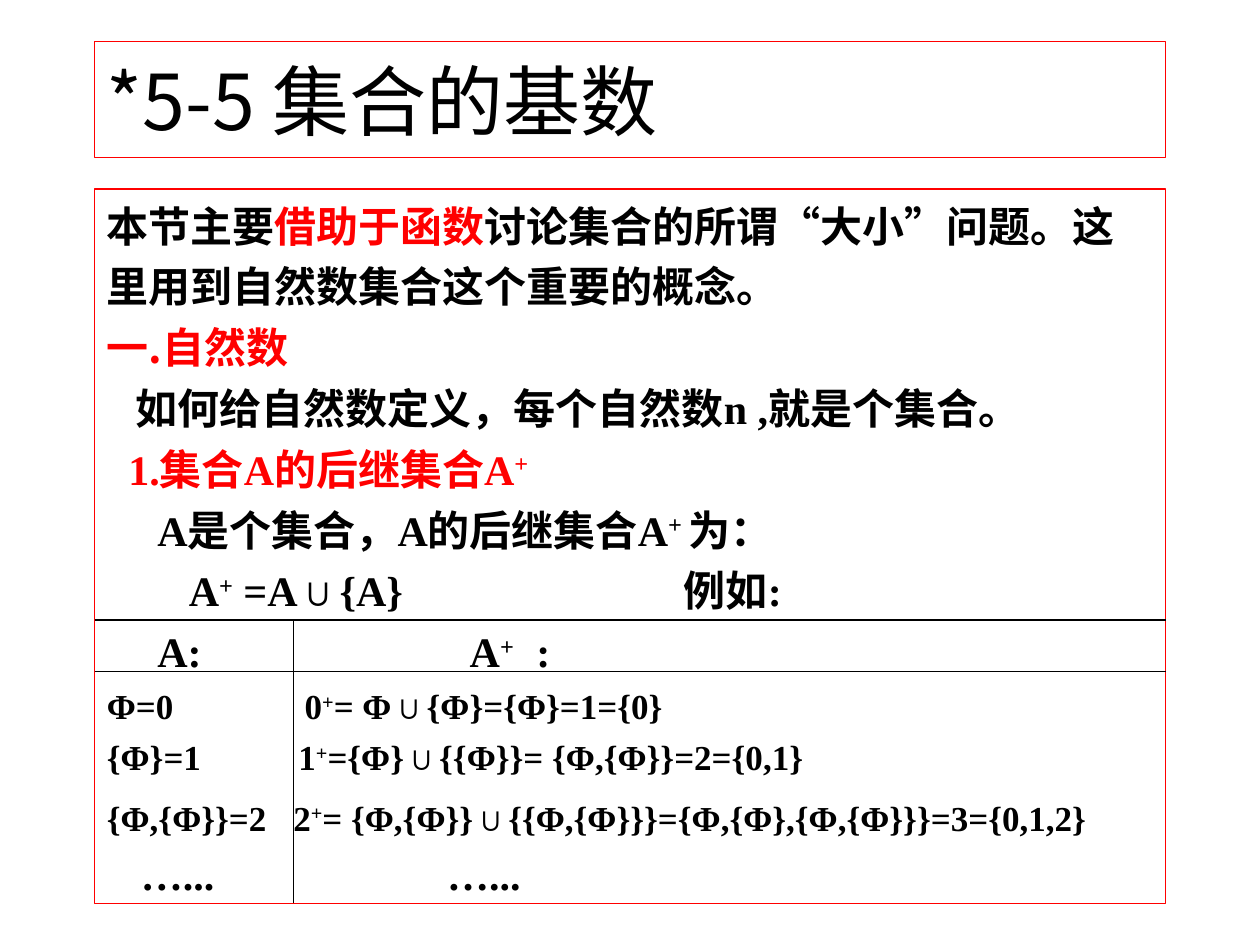
from dataclasses import dataclass

from lxml.etree import SubElement
from pptx import Presentation
from pptx.dml.color import RGBColor
from pptx.enum.shapes import MSO_CONNECTOR as Conn, MSO_SHAPE as Shape
from pptx.enum.text import MSO_ANCHOR as Anchor, PP_ALIGN as Align
from pptx.oxml.ns import qn
from pptx.util import Inches, Pt


@dataclass(frozen=True)
class Theme:
    black: RGBColor = RGBColor(0, 0, 0)
    red: RGBColor = RGBColor(255, 0, 0)
    sans: str = "Noto Sans CJK SC"
    serif: str = "Times New Roman"
    title: int = 44
    body: int = 24
    small: int = 20
    line: float = 0.75


THEME = Theme()
UP = ("+", "up")


@dataclass
class Row:
    """One line of text; indent and tab stops are inches from the text edge."""
    words: list
    indent: float = 0
    tabs: tuple = ()
    size: int = THEME.body
    color: RGBColor = THEME.black
    font: str = THEME.serif
    before: float = 6
    height: float = 28.75


SMALL = dict(size=THEME.small, before=5, height=24)
ROWS = [
    Row(["本节主要", ("借助于函数", "red"), "讨论集合的所谓“大小”问题。这"],
        before=0, height=31.6),
    Row(["里用到自然数集合这个重要的概念。"]),
    Row(["一.自然数"], color=THEME.red, font=THEME.sans),
    Row(["如何给自然数定义，每个自然数n ,就是个集合。"], 0.23),
    Row(["1.集合A的后继集合A", UP], 0.17, color=THEME.red),
    Row(["A是个集合，A的后继集合A", ("+ ", "up"), "为："], 0.4),
    Row(["A", UP, " =A∪{A}\t例如:"], 0.65, (3.93,)),
    Row(["A:\tA", UP, "\t:"], 0.4, (2.48, 3.01)),
    Row(["Φ=0\t0", UP, "= Φ∪{Φ}={Φ}=1={0}"], tabs=(1.57,), **SMALL),
    Row(["{Φ}=1\t1", UP, "={Φ}∪{{Φ}}= {Φ,{Φ}}=2={0,1}"], tabs=(1.52,), **SMALL),
    Row(["{Φ,{Φ}}=2\t2", UP, "= {Φ,{Φ}}∪{{Φ,{Φ}}}={Φ,{Φ},{Φ,{Φ}}}=3={0,1,2}"],
        tabs=(1.48,), size=THEME.small),
    Row(["…...\t…..."], 0.27, (2.43,)),
]


def add_frame(slide, left, top, width, height, anchor):
    """Red outlined box; returns its text frame."""
    box = slide.shapes.add_shape(Shape.RECTANGLE, left, top, width, height)
    box.shadow.inherit = False
    box.fill.background()
    box.line.color.rgb = THEME.red
    box.line.width = Pt(THEME.line)
    frame = box.text_frame
    frame.word_wrap = True
    frame.vertical_anchor = anchor
    return frame


def set_font(para, name, size, color, bold=False):
    para.alignment = Align.LEFT
    font = para.font
    font.name, font.size, font.bold = name, Pt(size), bold
    font.color.rgb = color


def add_title(slide, left, top, width, height):
    frame = add_frame(slide, left, top, width, height, Anchor.MIDDLE)
    para = frame.paragraphs[0]
    para.text = "*5-5 集合的基数"
    set_font(para, THEME.sans, THEME.title, THEME.black)


def fill_row(para, row):
    para.line_spacing = Pt(row.height)
    para.space_before = Pt(row.before)
    props = para._p.get_or_add_pPr()
    props.set("marL", str(Inches(row.indent)))
    if row.tabs:
        stops = SubElement(props, qn("a:tabLst"))
        for pos in row.tabs:
            SubElement(stops, qn("a:tab"), pos=str(Inches(pos)), algn="l")
    set_font(para, row.font, row.size, row.color, True)
    for word in row.words:
        text, style = (word, "") if isinstance(word, str) else word
        run = para.add_run()
        run.text = text
        if style == "red":
            run.font.color.rgb = THEME.red
        elif style == "up":
            run._r.get_or_add_rPr().set("baseline", "30000")


def add_body(slide, left, top, width, height):
    frame = add_frame(slide, left, top, width, height, Anchor.TOP)
    for i, row in enumerate(ROWS):
        fill_row(frame.add_paragraph() if i else frame.paragraphs[0], row)


def add_rule(slide, x1, y1, x2, y2):
    rule = slide.shapes.add_connector(Conn.STRAIGHT, x1, y1, x2, y2)
    rule.line.color.rgb = THEME.black
    rule.line.width = Pt(THEME.line)
    SubElement(rule._element.spPr, qn("a:effectLst"))


def add_grid(slide, left, top, width, height):
    """Rules that set off the head row and the first column."""
    for y in (top, top + Inches(0.41)):
        add_rule(slide, left, y, left + width, y)
    split = left + Inches(1.58)
    add_rule(slide, split, top, split, top + height)


def main():
    deck = Presentation()
    deck.slide_width, deck.slide_height = Inches(10), Inches(7.5)
    slide = deck.slides.add_slide(deck.slide_layouts[6])
    left, width = Inches(0.75), Inches(8.5)
    add_title(slide, left, Inches(0.33), width, Inches(0.92))
    add_body(slide, left, Inches(1.5), width, Inches(5.67))
    add_grid(slide, left, Inches(4.92), width, Inches(2.25))
    deck.save("out.pptx")


if __name__ == "__main__":
    main()
